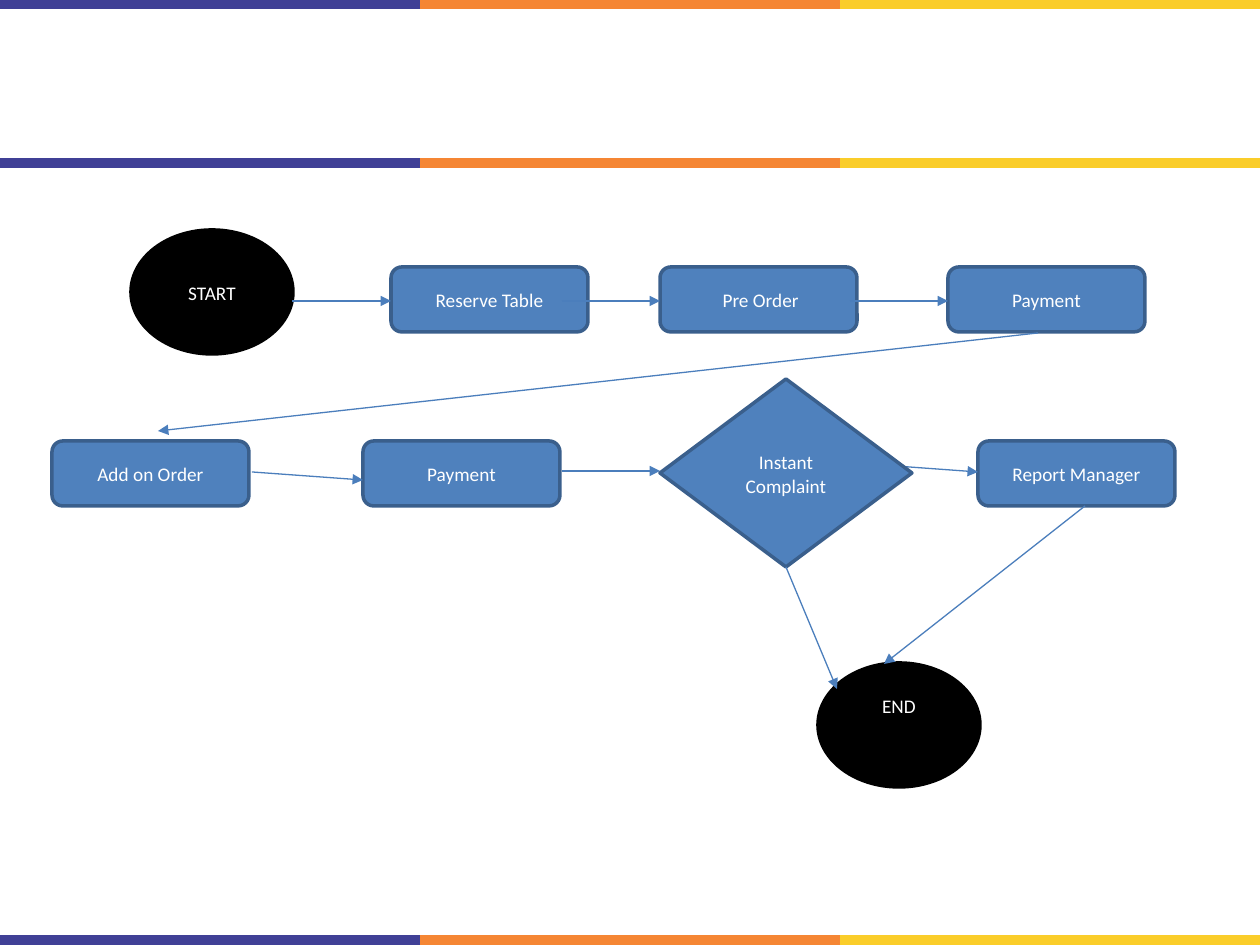
from dataclasses import dataclass

from pptx import Presentation
from pptx import util as u
from pptx.dml.color import RGBColor
from pptx.enum import shapes, text
from pptx.oxml.ns import qn
from lxml import etree

PX = u.Inches(1) // 126


@dataclass(frozen=True)
class Theme:
    """Colours, font and sizes of the flow chart."""
    font: str = "Calibri"
    size: int = 11
    white: str = "FFFFFF"
    terminal: str = "000000"
    step: str = "4F81BD"
    step_edge: str = "3A5F8C"
    arrow: str = "4B7EBC"
    bands: tuple = ("404096", "F58634", "FACD2A")
    band_width: float = 6
    edge_width: float = 2
    arrow_width: float = 0.75


THEME = Theme()
KIND = shapes.MSO_SHAPE


def add_line(slide, start, end, color, width, arrow=False):
    """Draw a straight line, with an optional arrowhead at its end."""
    points = [u.Emu(v * PX) for v in (*start, *end)]
    link = slide.shapes.add_connector(shapes.MSO_CONNECTOR.STRAIGHT, *points)
    link.line.color.rgb = RGBColor.from_string(color)
    link.line.width = u.Pt(width)
    properties = link._element.spPr
    if arrow:
        etree.SubElement(properties.find(qn("a:ln")), qn("a:tailEnd"), type="triangle")
    etree.SubElement(properties, qn("a:effectLst"))


def add_band(slide, left, middle, width):
    """Draw a three-colour stripe centred on a height."""
    part = width / len(THEME.bands)
    for i, color in enumerate(THEME.bands):
        start, end = (round(left + part * n) for n in (i, i + 1))
        add_line(slide, (start, middle), (end, middle), color, THEME.band_width)


def add_node(slide, kind, box, label, fill, edge, lift=0):
    """Draw a labelled node, raising its label by the given lift."""
    node = slide.shapes.add_shape(kind, *(u.Emu(v * PX) for v in box))
    node.shadow.inherit = False
    node.fill.solid()
    node.fill.fore_color.rgb = RGBColor.from_string(fill)
    node.line.color.rgb = RGBColor.from_string(edge)
    node.line.width = u.Pt(THEME.edge_width)
    frame = node.text_frame
    frame.word_wrap = True
    frame.vertical_anchor = text.MSO_ANCHOR.MIDDLE
    frame.margin_bottom += 2 * lift * PX
    paragraph = frame.paragraphs[0]
    paragraph.alignment = text.PP_ALIGN.CENTER
    paragraph.line_spacing = 1.07
    paragraph.space_after = u.Pt(8)
    run = paragraph.add_run()
    run.text = label
    run.font.name = THEME.font
    run.font.size = u.Pt(THEME.size)
    run.font.color.rgb = RGBColor.from_string(THEME.white)


def add_terminal(slide, left, top, label, lift=0):
    """Draw a start or end oval."""
    add_node(slide, KIND.OVAL, (left, top, 162, 124), label,
             THEME.terminal, THEME.terminal, lift)


def add_step_row(slide, top, steps):
    """Draw a row of equally sized process steps."""
    for left, label in steps:
        add_node(slide, KIND.ROUNDED_RECTANGLE, (left, top, 197, 65), label,
                 THEME.step, THEME.step_edge)


def add_arrows(slide, left, top, routes):
    """Draw flow arrows relative to the chart corner."""
    for x1, y1, x2, y2 in routes:
        add_line(slide, (left + x1, top + y1), (left + x2, top + y2),
                 THEME.arrow, THEME.arrow_width, arrow=True)


def add_flow(slide, left, top):
    """Draw the order flow from its top left corner."""
    add_terminal(slide, left + 79, top, "START")
    add_terminal(slide, left + 766, top + 433, "END", lift=20)
    add_step_row(slide, top + 37, [
        (left + 339, "Reserve Table"), (left + 608, " Pre Order"), (left + 896, "Payment")])
    add_step_row(slide, top + 211, [
        (left, "Add on Order"), (left + 311, "Payment"), (left + 926, "Report Manager")])
    add_arrows(slide, left, top, [
        (240, 71, 339, 71), (510, 71, 608, 71), (798, 71, 896, 71),
        (986, 103, 106, 201), (200, 242, 311, 250), (510, 241, 608, 241),
        (816, 234, 926, 242), (1033, 276, 832, 434)])
    add_node(slide, KIND.DIAMOND, (left + 608, top + 149, 252, 188), "Instant Complaint",
             THEME.step, THEME.step_edge)
    add_arrows(slide, left, top, [(734, 337, 785, 459)])


def main():
    """Build and save the slide."""
    deck = Presentation()
    deck.slide_width, deck.slide_height = u.Emu(1260 * PX), u.Emu(945 * PX)
    slide = deck.slides.add_slide(deck.slide_layouts[6])
    for middle in (4, 940, 163):
        add_band(slide, 0, middle, 1260)
    add_flow(slide, 52, 230)
    deck.save("out.pptx")


if __name__ == "__main__":
    main()
